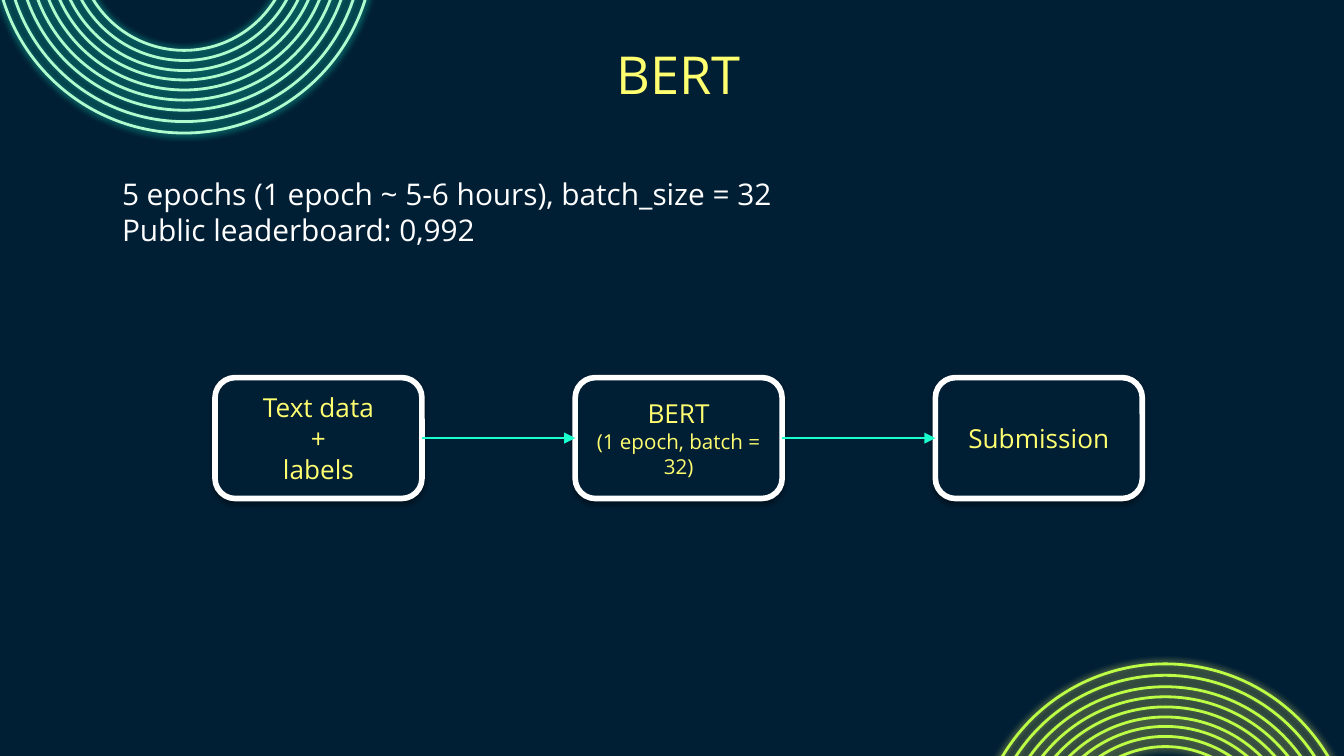
"""Build the BERT pipeline slide with ring ornaments and a three-step flow."""
import pptx
import pptx.util
import pptx.dml.color
import pptx.enum.shapes
import pptx.enum.text
import pptx.oxml
import pptx.oxml.ns

Inches, Pt = pptx.util.Inches, pptx.util.Pt
RGB = pptx.dml.color.RGBColor.from_string
qn = pptx.oxml.ns.qn
SHAPE = pptx.enum.shapes.MSO_SHAPE
ALIGN = pptx.enum.text.PP_ALIGN
COLORS = {"navy": "001F35", "white": "FFFFFF", "yellow": "FFFF70", "mint": "B0FCCE",
          "aqua": "1FFFCE", "lime": "BCFD45", "arrow": "19FFCD", "black": "000000"}
FONT = "Open Sans"


def add_glow(shape, color, alpha, blur, dist=0, angle=0):
    shape.shadow.inherit = False
    effects = shape._element.spPr.find(qn("a:effectLst"))
    effects.append(pptx.oxml.parse_xml(
        f'<a:outerShdw {pptx.oxml.ns.nsdecls("a")} blurRad="{Pt(blur)}" dist="{Pt(dist)}" '
        f'dir="{angle * 60000}" algn="bl" rotWithShape="0"><a:srgbClr val="{COLORS[color]}">'
        f'<a:alpha val="{alpha * 1000}"/></a:srgbClr></a:outerShdw>'))


def write(frame, lines, color, align):
    frame.word_wrap = True
    frame.vertical_anchor = pptx.enum.text.MSO_ANCHOR.MIDDLE
    for i, (text, size) in enumerate(lines):
        para = frame.paragraphs[0] if i == 0 else frame.add_paragraph()
        para.text = text
        para.alignment = align
        para.font.name = FONT
        para.font.size = Pt(size)
        para.font.color.rgb = RGB(COLORS[color])


deck = pptx.Presentation()
deck.slide_width = Inches(10)
deck.slide_height = deck.slide_width * 9 // 16
slide = deck.slides.add_slide(deck.slide_layouts[6])
slide.background.fill.solid()
slide.background.fill.fore_color.rgb = RGB(COLORS["navy"])
shapes = slide.shapes

rings = [2.82, 2.65, 2.48, 2.33, 2.18, 2.03, 1.89, 1.74, 1.59]
for x, y, line, glow in [(1.37, -0.42, "mint", "aqua"), (8.67, 6.35, "lime", "yellow")]:
    for size in rings:
        ring = shapes.add_shape(SHAPE.OVAL, Inches(x - size / 2), Inches(y - size / 2),
                                Inches(size), Inches(size))
        ring.fill.background()
        ring.line.color.rgb = RGB(COLORS[line])
        ring.line.width = Pt(1.5)
        add_glow(ring, glow, 90, 4.5)

title = shapes.add_textbox(Inches(0.78), Inches(0.28), Inches(8.54), Inches(0.53))
write(title.text_frame, [("BERT", 28)], "yellow", ALIGN.CENTER)
body = shapes.add_textbox(Inches(0.81), Inches(1.35), Inches(9.03), Inches(0.45))
write(body.text_frame, [("5 epochs (1 epoch ~ 5-6 hours), batch_size = 32", 16),
                        ("Public leaderboard: 0,992", 16)], "white", ALIGN.LEFT)

steps = [[("Text data", 14), ("+", 14), ("labels", 14)],
         [("BERT", 14), ("(1 epoch, batch = 32)", 11)],
         [("Submission", 14)]]
boxes = []
for i, lines in enumerate(steps):
    box = shapes.add_shape(SHAPE.ROUNDED_RECTANGLE, Inches(1.6 + 2.68 * i), Inches(2.81),
                           Inches(1.54), Inches(0.9))
    box.fill.solid()
    box.fill.fore_color.rgb = RGB(COLORS["navy"])
    box.line.color.rgb = RGB(COLORS["white"])
    box.line.width = Pt(3)
    add_glow(box, "black", 38, 3.1, 1.6, 90)
    write(box.text_frame, lines, "yellow", ALIGN.CENTER)
    boxes.append(box)

for left, right in zip(boxes, boxes[1:]):
    arrow = shapes.add_connector(pptx.enum.shapes.MSO_CONNECTOR.STRAIGHT, 0, 0, 0, 0)
    arrow.begin_connect(left, 3)
    arrow.end_connect(right, 1)
    arrow.line.color.rgb = RGB(COLORS["arrow"])
    arrow.line.width = Pt(0.75)
    head = pptx.oxml.parse_xml(f'<a:tailEnd {pptx.oxml.ns.nsdecls("a")} type="triangle"/>')
    arrow.line._get_or_add_ln().append(head)
    arrow._element.spPr.append(
        pptx.oxml.parse_xml(f'<a:effectLst {pptx.oxml.ns.nsdecls("a")}/>'))

deck.save("out.pptx")
